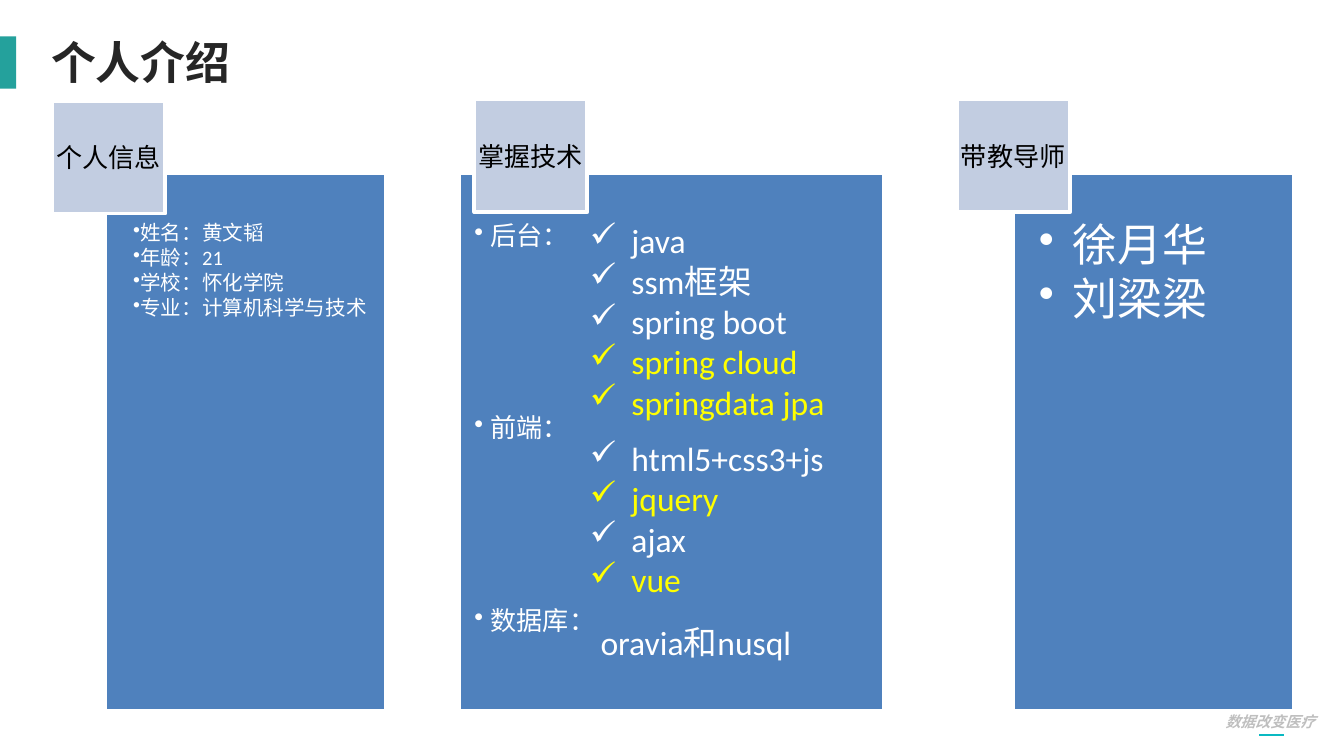
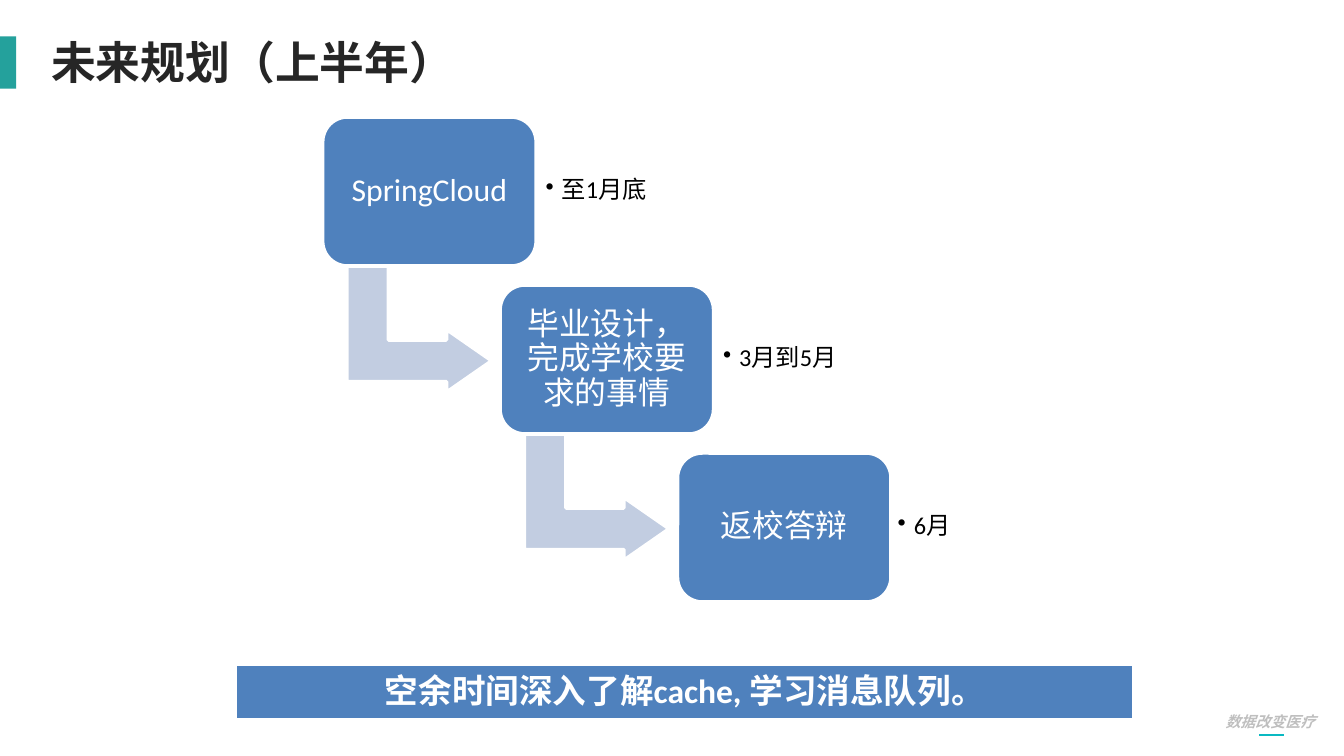
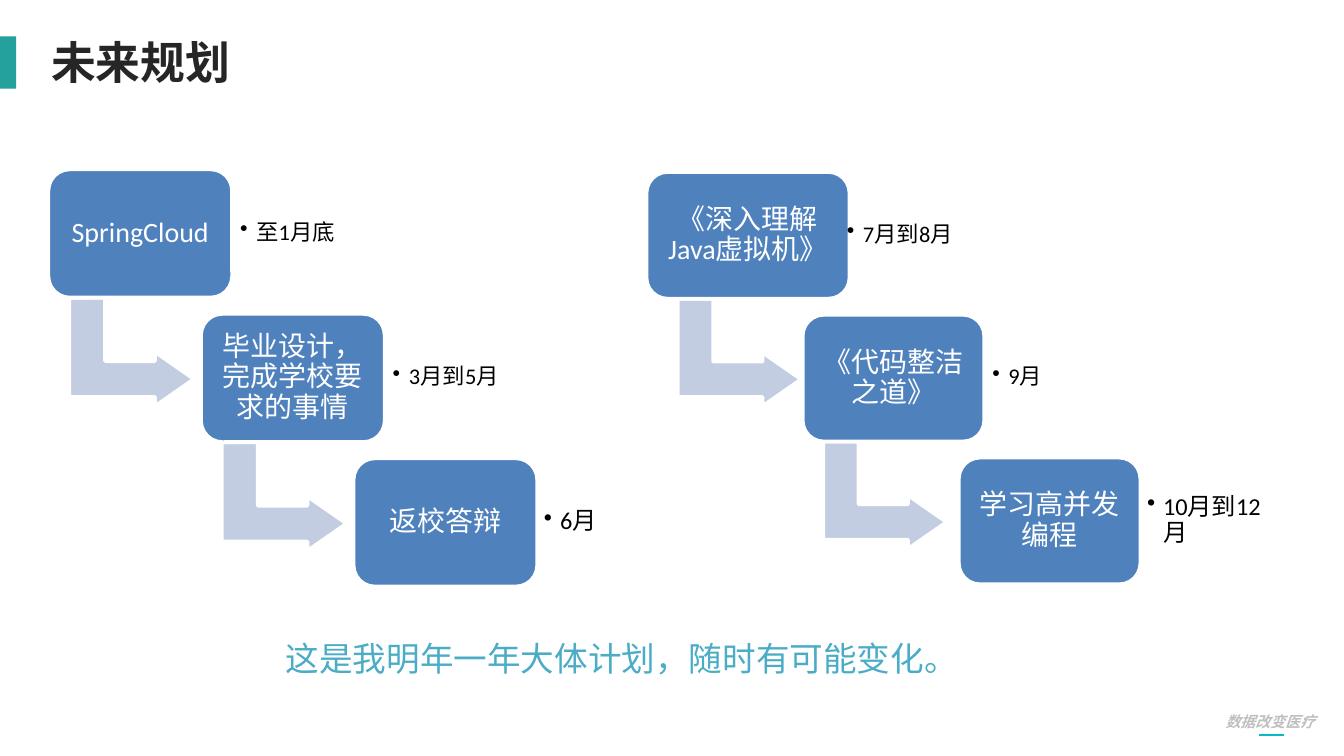
from dataclasses import dataclass, replace
from typing import NamedTuple, Sequence

from lxml import etree
from pptx import Presentation
from pptx.dml.color import RGBColor
from pptx.enum.shapes import MSO_CONNECTOR, MSO_SHAPE
from pptx.enum.text import MSO_ANCHOR, PP_ALIGN
from pptx.oxml.ns import qn
from pptx.util import Inches, Pt

RECT = MSO_SHAPE.RECTANGLE
ROUND = MSO_SHAPE.ROUNDED_RECTANGLE
BENT = MSO_SHAPE.BENT_UP_ARROW
STRAIGHT = MSO_CONNECTOR.STRAIGHT
LEFT, CENTER = PP_ALIGN.LEFT, PP_ALIGN.CENTER
TOP, MIDDLE = MSO_ANCHOR.TOP, MSO_ANCHOR.MIDDLE

WIDE, HIGH = Inches(10), Inches(5.625)
COLS = 100  # square grid cells across the slide
CELL = WIDE // COLS
TITLE_ONLY = 5


@dataclass(frozen=True)
class Theme:
    blue: str = "4F81BD"
    pale: str = "C2CDE1"
    teal: str = "24A19C"
    cyan: str = "0AB9C2"
    aqua: str = "4BACC6"
    white: str = "FFFFFF"
    black: str = "000000"
    ink: str = "262626"
    grey: str = "BFBFBF"
    yellow: str = "FFFF00"
    body: str = "Calibri"
    head: str = "Noto Sans CJK SC"
    title: float = 24
    big: float = 18
    step: float = 17
    mid: float = 14
    note: float = 13
    info: float = 11
    foot: float = 8


T = Theme()


@dataclass(frozen=True)
class Look:
    size: float
    color: str = T.white
    font: str = T.body
    bold: bool = False
    slant: bool = False
    align: PP_ALIGN = LEFT
    line: float = 1.0
    after: float = 0  # share of the type size
    before: float = 0
    mark: str = ""
    inset: float = 0
    hang: float = 0


class Box(NamedTuple):
    """Left, top, width and height in grid cells."""
    x: float
    y: float
    w: float
    h: float


class Para(NamedTuple):
    text: str
    look: Look


class Panel(NamedTuple):
    box: Box
    tag: str
    spot: Box
    pad: float
    items: Sequence[Para]


class Step(NamedTuple):
    text: str
    note: str
    size: float = T.note
    pad: float = 0.7
    shift: float = 0
    grow: float = 0


class Stair(NamedTuple):
    x: float
    y: float
    scale: float
    size: float
    steps: Sequence[Step]


TITLE = Look(T.title, T.ink, T.head, bold=True)
FOOT = Look(T.foot, T.grey, T.head, bold=True, slant=True)
TAG = Look(T.mid, T.black, align=CENTER)
POINT = Look(T.mid, line=0.9, after=0.13, mark="•", inset=1.2, hang=-1.2)
INFO = replace(POINT, size=T.info, hang=0)
GUIDE = replace(POINT, size=T.title, inset=2.5, hang=-2.5)
PLAIN = Look(T.big)
CHECK = replace(PLAIN, mark="✓", inset=3.1, hang=-3.1)
WANT = replace(CHECK, color=T.yellow)
STEP = Look(T.step, align=CENTER, line=0.9)
NOTE = replace(POINT, color=T.black, after=0)
STRIP = Look(T.big, bold=True, align=CENTER)
CLOSE = Look(T.big, T.aqua, align=CENTER)


def cells(count: float) -> int:
    return round(count * CELL)


def place(box: Box) -> list[int]:
    return [cells(side) for side in box]


def rgb(code: str) -> RGBColor:
    return RGBColor.from_string(code)


def write(frame, items: Sequence[Para], pad: Sequence[float] = (1, 0.5, 1, 0.5),
          anchor: MSO_ANCHOR = TOP, wrap: bool = True) -> None:
    """Fill a text frame; pad runs left, top, right, bottom in cells."""
    frame.word_wrap = wrap
    frame.vertical_anchor = anchor
    (frame.margin_left, frame.margin_top,
     frame.margin_right, frame.margin_bottom) = map(cells, pad)
    for i, (text, look) in enumerate(items):
        para = frame.add_paragraph() if i else frame.paragraphs[0]
        para.alignment = look.align
        para.line_spacing = look.line
        para.space_before = Pt(look.before)
        para.space_after = Pt(look.after * look.size)
        if look.mark:
            props = para._p.get_or_add_pPr()
            props.set("marL", str(cells(look.inset)))
            props.set("indent", str(cells(look.hang)))
            etree.SubElement(props, qn("a:buChar")).set("char", look.mark)
        run = para.add_run()
        run.text = text
        font = run.font
        font.size, font.name = Pt(look.size), look.font
        font.bold, font.italic = look.bold, look.slant
        font.color.rgb = rgb(look.color)
        east = etree.Element(qn("a:ea"))
        east.set("typeface", look.font)
        run._r.get_or_add_rPr().find(qn("a:latin")).addnext(east)


def add_text(slide, box: Box, items: Sequence[Para], **style) -> None:
    write(slide.shapes.add_textbox(*place(box)).text_frame, items, **style)


def add_block(slide, kind: MSO_SHAPE, box: Box, fill: str, edge: bool = True):
    shape = slide.shapes.add_shape(kind, *place(box))
    shape.shadow.inherit = False
    shape.fill.solid()
    shape.fill.fore_color.rgb = rgb(fill)
    if edge:
        shape.line.color.rgb = rgb(T.white)
        shape.line.width = Pt(2)
    else:
        shape.line.fill.background()
    return shape


def add_page(deck, title: str):
    """Add a slide with its title, side band and footer."""
    slide = deck.slides.add_slide(deck.slide_layouts[TITLE_ONLY])
    head = slide.shapes.title
    head.left, head.top, head.width, head.height = place(Box(2.8, 2.1, 40, 5))
    write(head.text_frame, [Para(title, TITLE)], wrap=False)
    add_block(slide, RECT, Box(0, 2.7, 1.2, 3.9), T.teal, edge=False)
    add_text(slide, Box(90.2, 52.5, 8.8, 2.4), [Para("数据改变医疗", FOOT)], wrap=False)
    rule = slide.shapes.add_connector(
        STRAIGHT, cells(93.7), cells(54.7), cells(95.5), cells(54.7))
    rule.line.color.rgb = rgb(T.cyan)
    rule.line.width = Pt(0.75)
    etree.SubElement(rule._element.spPr, qn("a:effectLst"))
    return slide


def add_panel(slide, panel: Panel) -> None:
    body = add_block(slide, RECT, panel.box, T.blue)
    pad = panel.pad
    write(body.text_frame, panel.items, pad=(pad, 3.7, pad, pad))
    tag = add_block(slide, RECT, panel.spot, T.pale)
    write(tag.text_frame, [Para(panel.tag, TAG)], pad=(0, 0, 0, 0),
          anchor=MIDDLE, wrap=False)


def add_stair(slide, stair: Stair) -> None:
    """Draw boxes stepping down to the right, each with a note beside it."""
    k = stair.scale
    pad = [0.7 * k] * 4
    for i, step in enumerate(stair.steps):
        x = stair.x + 13.2 * k * i + step.shift
        y = stair.y + 12.5 * k * i
        if i < len(stair.steps) - 1:
            bend = add_block(slide, BENT,
                             Box(x + 2.5 * k, y + 10.4 * k, 9.4 * k, 10.8 * k), T.pale)
            bend.rotation = 90
            for j, share in enumerate((0.33, 0.25, 0.36)):
                bend.adjustments[j] = share
        card = add_block(slide, ROUND,
                         Box(x - step.grow / 2, y, 15.9 * k + step.grow, 11.1 * k), T.blue)
        write(card.text_frame, [Para(step.text, replace(STEP, size=stair.size))],
              pad=pad, anchor=MIDDLE)
        add_text(slide, Box(x + 15.9 * k, y + k, 11.6 * k, 9 * k),
                 [Para(step.note, replace(NOTE, size=step.size))],
                 pad=[step.pad] * 4, anchor=MIDDLE)


def add_strip(slide, box: Box, text: str) -> None:
    """Add a one-cell table with white borders."""
    table = slide.shapes.add_table(1, 1, *place(box)).table
    cell = table.cell(0, 0)
    cell.fill.solid()
    cell.fill.fore_color.rgb = rgb(T.blue)
    write(cell.text_frame, [Para(text, STRIP)])
    props = cell._tc.get_or_add_tcPr()
    for i, (side, width) in enumerate((("L", 1), ("R", 1), ("T", 1), ("B", 3))):
        line = etree.Element(qn(f"a:ln{side}"), w=str(Pt(width)))
        fill = etree.SubElement(line, qn("a:solidFill"))
        etree.SubElement(fill, qn("a:srgbClr")).set("val", T.white)
        props.insert(i, line)


def intro(deck) -> None:
    slide = add_page(deck, "个人介绍")
    facts = ("姓名：黄文韬", "年龄：21", "学校：怀化学院", "专业：计算机科学与技术")
    later = replace(POINT, before=86)
    skills = [Para("后台：", POINT), Para("前端：", later), Para("数据库：", later)]
    guides = [Para(name, GUIDE) for name in ("徐月华", "刘梁梁")]
    for panel in (
        Panel(Box(7.8, 12.9, 20.9, 40), "个人信息", Box(3.9, 7.5, 8.4, 8.4), 0.9,
              [Para(fact, INFO) for fact in facts]),
        Panel(Box(34.2, 12.9, 31.6, 40), "掌握技术", Box(35.3, 7.4, 8.4, 8.4), 1.1, skills),
        Panel(Box(75.4, 12.9, 20.9, 40), "带教导师", Box(71.2, 7.4, 8.4, 8.4), 1.9, guides),
    ):
        add_panel(slide, panel)
    add_text(slide, Box(42.9, 15.9, 19.7, 16.2), [
        Para("java", CHECK), Para("ssm框架", CHECK), Para("spring boot", CHECK),
        Para("spring cloud", WANT), Para("springdata jpa", WANT)])
    add_text(slide, Box(42.9, 32.1, 19.7, 13.1), [
        Para("html5+css3+js", CHECK), Para("jquery", WANT),
        Para("ajax", CHECK), Para("vue", WANT)])
    add_text(slide, Box(43.7, 45.8, 19.7, 4), [Para("oravia和nusql", PLAIN)])


SPRING = (Step("SpringCloud", "至1月底"),
          Step("毕业设计，完成学校要求的事情", "3月到5月"),
          Step("返校答辩", "6月", pad=0.5))


def half(deck) -> None:
    slide = add_page(deck, "未来规划（上半年）")
    add_stair(slide, Stair(24, 8.7, 1, T.step, SPRING))
    add_strip(slide, Box(17.6, 49.5, 66.7, 4.1), "空余时间深入了解cache, 学习消息队列。")


def year(deck) -> None:
    slide = add_page(deck, "未来规划")
    add_text(slide, Box(18.3, 47, 55.9, 4),
             [Para("这是我明年一年大体计划，随时有可能变化。", CLOSE)])
    first = [step._replace(size=size, pad=pad)
             for step, size, pad in zip(SPRING, (12, 12, 13), (0.6, 0.6, 0.5))]
    books = (Step("《深入理解Java虚拟机》", "7月到8月", 12, 0.6, grow=1.6),
             Step("《代码整洁之道》", "9月", 12, 0.6, shift=-0.4),
             Step("学习高并发编程", "10月到12月", pad=0.5))
    add_stair(slide, Stair(3.6, 12.6, 0.86, 15, first))
    add_stair(slide, Stair(48.9, 12.8, 0.85, 15, books))


def main() -> None:
    deck = Presentation()
    deck.slide_width, deck.slide_height = WIDE, HIGH
    for build in (intro, half, year):
        build(deck)
    deck.save("out.pptx")


if __name__ == "__main__":
    main()
